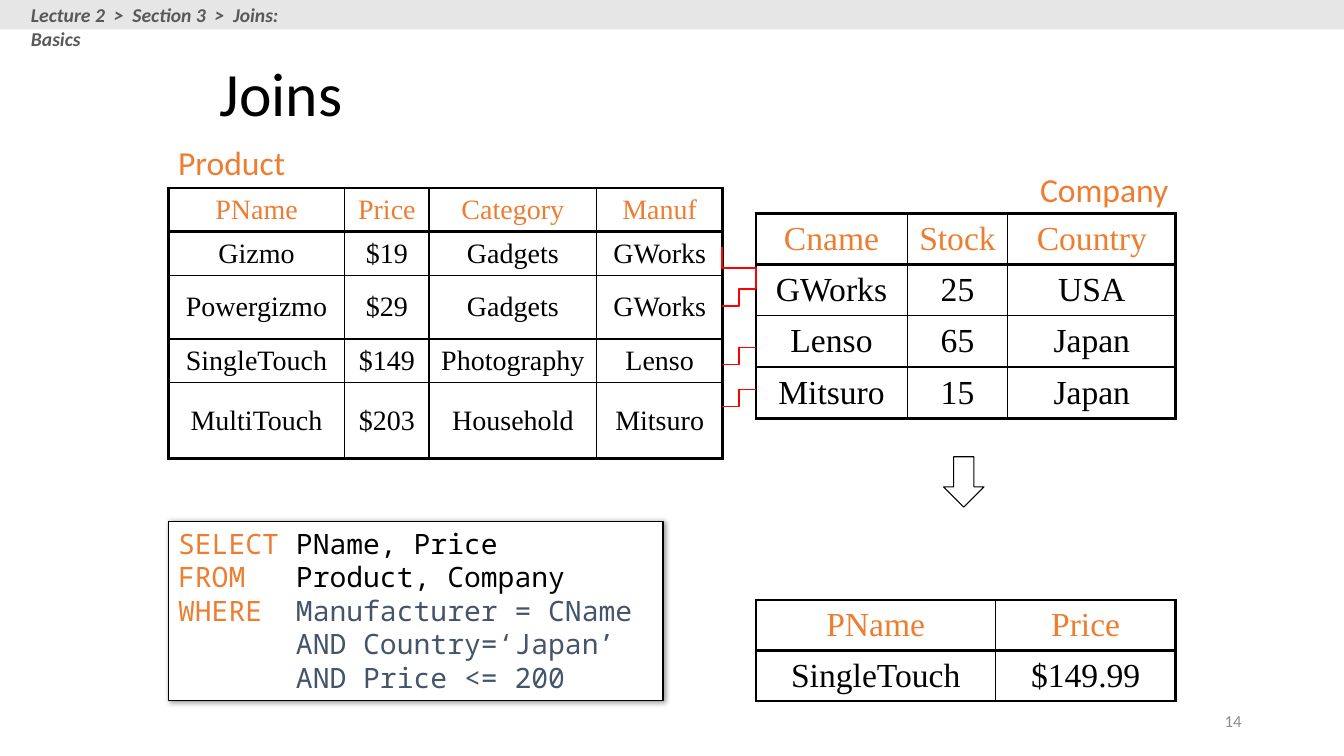
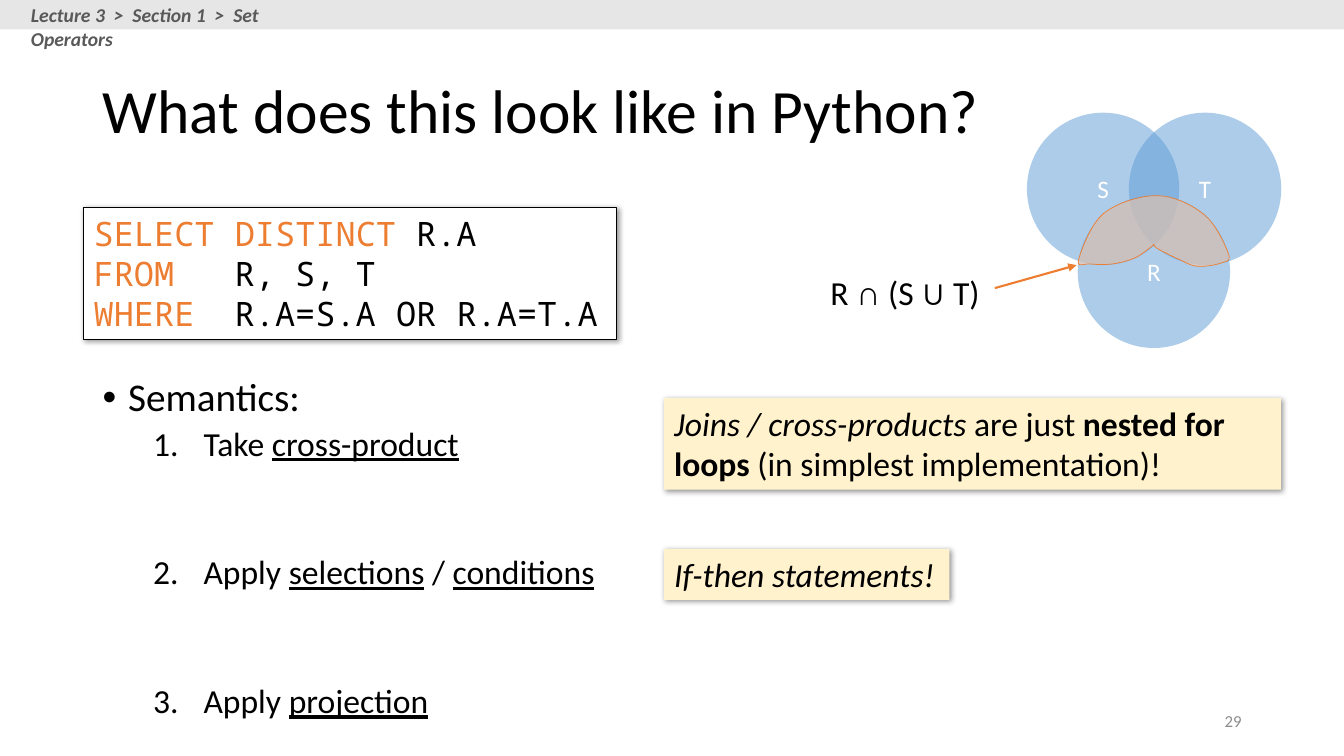
import pptx
import pptx.dml.color
import pptx.enum.shapes
import pptx.enum.text
import pptx.oxml
import pptx.oxml.ns
import pptx.util
from lxml import etree

Cm, Pt = pptx.util.Cm, pptx.util.Pt
SHAPES = pptx.enum.shapes.MSO_SHAPE
LINES = pptx.enum.shapes.MSO_CONNECTOR
ANCHOR = pptx.enum.text.MSO_ANCHOR
ALIGN = pptx.enum.text.PP_ALIGN
qn = pptx.oxml.ns.qn

# Shared look
SLIDE_WIDTH, SLIDE_HEIGHT = 33.87, 19.05
BLACK, WHITE, ORANGE, RED = "000000", "FFFFFF", "ED7D31", "FF0000"
SLATE, BAND, CRUMB, NUMBER = "44546A", "E7E6E6", "595959", "8C8C8C"
NOTE, CIRCLE, OVERLAP = "FFF2CC", "5B9BD5", "F8CBAD"
BODY_FONT, CODE_FONT, TABLE_FONT = "Calibri", "Noto Sans Mono", "Times New Roman"
THICK, THIN = 2.25, 1


def rgb(color):
    return pptx.dml.color.RGBColor.from_string(color)


def child(parent, tag, **attributes):
    node = etree.SubElement(parent, qn(tag))
    for key, value in attributes.items():
        node.set(key, str(value))
    return node


# Text
def write(frame, text, *, size=24, color=BLACK, font=BODY_FONT, bold=False,
          italic=False, underline=False, align=ALIGN.LEFT, line_spacing=None,
          before=None, bullet=None, indent=0, hang=0):
    """Add one paragraph; text is a string or a list of (string, format changes)."""
    paragraph = frame.paragraphs[0]
    if paragraph.runs:
        paragraph = frame.add_paragraph()
    paragraph.alignment = align
    if line_spacing:
        paragraph.line_spacing = line_spacing
    if before:
        paragraph.space_before = Pt(before)
    if bullet:
        properties = paragraph._p.get_or_add_pPr()
        properties.set("marL", str(Cm(indent)))
        properties.set("indent", str(-Cm(hang)))
        if bullet == "1.":
            child(properties, "a:buAutoNum", type="arabicPeriod")
        else:
            child(properties, "a:buFont", typeface="Arial")
            child(properties, "a:buChar", char=bullet)
    base = dict(size=size, color=color, font=font, bold=bold, italic=italic,
                underline=underline)
    for words, changes in [(text, {})] if isinstance(text, str) else text:
        style = {**base, **changes}
        run = paragraph.add_run()
        run.text = words
        run.font.size = Pt(style["size"])
        run.font.name = style["font"]
        run.font.color.rgb = rgb(style["color"])
        run.font.bold = style["bold"]
        run.font.italic = style["italic"]
        run.font.underline = style["underline"]


def add_frame(slide, box, anchor=ANCHOR.TOP):
    frame = slide.shapes.add_textbox(*map(Cm, box)).text_frame
    frame.word_wrap = True
    frame.vertical_anchor = anchor
    return frame


def add_text(slide, text, box, anchor=ANCHOR.TOP, **text_format):
    write(add_frame(slide, box, anchor), text, **text_format)


# Shapes and lines
def paint(shape, fill=None, line=None, width=0.75, opacity=None):
    shape.shadow.inherit = False
    if fill:
        shape.fill.solid()
        shape.fill.fore_color.rgb = rgb(fill)
        if opacity:
            color = shape.element.spPr.find(qn("a:solidFill"))[0]
            child(color, "a:alpha", val=opacity * 1000)
    else:
        shape.fill.background()
    if line:
        shape.line.color.rgb = rgb(line)
        shape.line.width = Pt(width)
    else:
        shape.line.fill.background()


def add_shape(slide, kind, box, anchor=ANCHOR.TOP, **look):
    shape = slide.shapes.add_shape(kind, *map(Cm, box))
    paint(shape, **look)
    shape.text_frame.word_wrap = True
    shape.text_frame.vertical_anchor = anchor
    return shape


def add_card(slide, box, **look):
    """A rectangle with a soft shadow; returns its text frame."""
    card = add_shape(slide, SHAPES.RECTANGLE, box, **look)
    effects = card.element.spPr.find(qn("a:effectLst"))
    shadow = child(effects, "a:outerShdw", blurRad=Pt(4), dist=Pt(1),
                   dir=45 * 60000, algn="tl", rotWithShape=0)
    child(child(shadow, "a:srgbClr", val=BLACK), "a:alpha", val=40000)
    return card.text_frame


def add_code(slide, box, lines, size):
    frame = add_card(slide, box, fill=WHITE, line=BLACK)
    for keyword, rest, color in lines:
        write(frame, [(keyword, {"color": ORANGE}), (rest, {"color": color})],
              size=size, font=CODE_FONT)


def add_line(slide, kind, start, end, color, width, arrow=False):
    line = slide.shapes.add_connector(kind, *map(Cm, (*start, *end)))
    line.line.color.rgb = rgb(color)
    line.line.width = Pt(width)
    if arrow:
        child(line.line._get_or_add_ln(), "a:tailEnd", type="triangle")
    child(line.element.spPr, "a:effectLst")
    return line


def add_upright_elbow(slide, start, end, color, width):
    """An elbow that leaves and arrives vertically: a quarter-turned connector."""
    (x1, y1), (x2, y2) = start, end
    middle_x, middle_y = (x1 + x2) / 2, (y1 + y2) / 2
    half_run, half_rise = (y2 - y1) / 2, (x2 - x1) / 2
    elbow = add_line(slide, LINES.ELBOW,
                     (middle_x + half_run, middle_y - half_rise),
                     (middle_x - half_run, middle_y + half_rise), color, width)
    elbow.element.spPr.find(qn("a:xfrm")).set("rot", str(270 * 60000))


def add_smooth_outline(slide, anchors, steps=8, **look):
    """A closed curve through the anchors (Catmull-Rom)."""
    count = len(anchors)
    points = []
    for i in range(count):
        nearby = [anchors[(i + k) % count] for k in (-1, 0, 1, 2)]
        for step in range(steps):
            t = step / steps
            points.append([
                Cm((2 * b + (c - a) * t + (2 * a - 5 * b + 4 * c - d) * t ** 2
                    + (3 * b - a - 3 * c + d) * t ** 3) / 2)
                for a, b, c, d in zip(*nearby)])
    builder = slide.shapes.build_freeform(*points[0], scale=1.0)
    builder.add_line_segments(points[1:], close=True)
    paint(builder.convert_to_shape(), **look)


# Tables
def set_borders(cell, widths):
    properties = cell._tc.get_or_add_tcPr()
    for side, width in zip("LRTB", widths):
        border = child(properties, f"a:ln{side}", w=Pt(width))
        child(child(border, "a:solidFill"), "a:srgbClr", val=BLACK)


def add_table(slide, corner, columns, heights, rows, size):
    box = (*corner, sum(columns), sum(heights))
    table = slide.shapes.add_table(len(rows), len(columns), *map(Cm, box)).table
    table.first_row = table.horz_banding = False
    for column, width in zip(table.columns, columns):
        column.width = Cm(width)
    last_row, last_column = len(rows) - 1, len(columns) - 1
    for r, row in enumerate(rows):
        table.rows[r].height = Cm(heights[r])
        for c, text in enumerate(row):
            cell = table.cell(r, c)
            heavy = (c == 0, c == last_column, r <= 1, r in (0, last_row))
            set_borders(cell, [THICK if edge else THIN for edge in heavy])
            cell.fill.solid()
            cell.fill.fore_color.rgb = rgb(WHITE)
            cell.vertical_anchor = ANCHOR.MIDDLE
            write(cell.text_frame, text, size=size, font=TABLE_FONT,
                  color=BLACK if r else ORANGE, align=ALIGN.CENTER)


# Slides
def start_slide(deck, title, title_box, crumb, number):
    slide = deck.slides.add_slide(deck.slide_layouts[6])
    add_shape(slide, SHAPES.RECTANGLE, (0, 0, SLIDE_WIDTH, 0.74), fill=BAND)
    add_text(slide, crumb, (0.53, -0.05, 7.9, 0.86), size=14, color=CRUMB,
             bold=True, italic=True)
    add_text(slide, title, title_box, ANCHOR.MIDDLE, size=44, line_spacing=0.9)
    add_text(slide, number, (23.92, 17.65, 7.62, 1.02), ANCHOR.MIDDLE, size=12,
             color=NUMBER, align=ALIGN.RIGHT)
    return slide


def build_joins(deck):
    slide = start_slide(deck, "Joins", (5.29, 0.85, 22.86, 3.17),
                        "Lecture 2  >  Section 3  >  Joins: Basics", "14")
    # Source tables
    add_text(slide, "Product", (4.24, 3.45, 3.3, 1.27), color=ORANGE)
    add_table(slide, (4.24, 4.74), (4.45, 2.12, 4.23, 3.17),
              (1.06, 1.06, 1.6, 1.06, 1.9),
              [("PName", "Price", "Category", "Manuf"),
               ("Gizmo", "$19", "Gadgets", "GWorks"),
               ("Powergizmo", "$29", "Gadgets", "GWorks"),
               ("SingleTouch", "$149", "Photography", "Lenso"),
               ("MultiTouch", "$203", "Household", "Mitsuro")], 20)
    add_text(slide, "Company", (25.96, 4.14, 3.9, 1.27), color=ORANGE)
    add_table(slide, (19.05, 5.38), (3.81, 2.54, 4.23), [1.29] * 4,
              [("Cname", "Stock", "Country"), ("GWorks", "25", "USA"),
               ("Lenso", "65", "Japan"), ("Mitsuro", "15", "Japan")], 24)
    # Matching rows
    product_edge, company_edge, rise = 18.2, 19.05, 0.43
    add_upright_elbow(slide, (product_edge, 6.22), (company_edge, 7.28), RED, 1)
    for row_y in (7.71, 9.19, 10.25):
        add_line(slide, LINES.ELBOW, (product_edge, row_y),
                 (company_edge, row_y - rise), RED, 1)
    # Query and result
    add_shape(slide, SHAPES.DOWN_ARROW, (23.78, 11.51, 1.02, 1.27), line=BLACK)
    add_code(slide, (4.24, 13.13, 12.47, 4.52),
             [("SELECT ", "PName, Price", BLACK),
              ("FROM   ", "Product, Company", BLACK),
              ("WHERE  ", "Manufacturer = CName", SLATE),
              ("       ", "AND Country=‘Japan’", SLATE),
              ("       ", "AND Price <= 200", SLATE)], 20)
    add_table(slide, (19.05, 15.12), (6.04, 4.54), [1.27] * 2,
              [("PName", "Price"), ("SingleTouch", "$149.99")], 24)


def build_python(deck):
    slide = start_slide(deck, "What does this look like in Python?",
                        (2.34, 1.01, 29.21, 3.68),
                        "Lecture 3  >  Section 1  >  Set Operators", "29")
    add_code(slide, (2.11, 5.23, 13.44, 3.33),
             [("SELECT DISTINCT ", "R.A", BLACK),
              ("FROM   ", "R, S, T", BLACK),
              ("WHERE  ", "R.A=S.A OR R.A=T.A", BLACK)], 24)
    # Semantics
    semantics = add_frame(slide, (2.34, 9.4, 15.01, 8.86))
    write(semantics, "Semantics:", size=28, line_spacing=0.9, bullet="•",
          indent=0.64, hang=0.64)
    underlined = {"underline": True}
    steps = [(5, [("Take ", {}), ("cross-product", underlined)]),
             (66, [("Apply ", {}), ("selections", underlined), (" / ", {}),
                   ("conditions", underlined)]),
             (66, [("Apply ", {}), ("projection", underlined)])]
    for gap, step in steps:
        write(semantics, step, line_spacing=0.9, before=gap, bullet="1.",
              indent=2.54, hang=1.27)
    # Notes
    loops = [("Joins / cross-products ", {"italic": True}), ("are just ", {}),
             ("nested for loops ", {"bold": True}),
             ("(in simplest implementation)!", {})]
    branches = [("If-then statements!", {"italic": True})]
    for note, box in ((loops, (16.74, 10.03, 15.54, 2.31)),
                      (branches, (16.74, 13.84, 7.19, 1.28))):
        write(add_card(slide, box, fill=NOTE), note)
    # Venn diagram
    symbol = {"font": "Arial"}
    add_text(slide, [("R ", {}), ("∩", symbol), (" (S ", {}), ("∪", symbol),
                     (" T)", {})], (20.68, 6.73, 4.6, 1.27))
    for name, left, top in (("S", 25.88, 2.84), ("T", 28.45, 2.84),
                            ("R", 27.16, 4.93)):
        circle = add_shape(slide, SHAPES.OVAL, (left, top, 3.84, 3.84),
                           ANCHOR.MIDDLE, fill=CIRCLE, opacity=50)
        write(circle.text_frame, name, size=18, color=WHITE, align=ALIGN.CENTER)
    add_line(slide, LINES.STRAIGHT, (25.07, 7.26), (27.13, 6.68), ORANGE, 1.5,
             arrow=True)
    add_smooth_outline(slide, [
        (27.18, 6.55), (27.81, 5.38), (29.16, 4.93), (30.35, 5.41), (30.96, 6.4),
        (30.76, 6.63), (30.18, 6.71), (29.74, 6.55), (29.18, 6.27), (29.08, 6.17),
        (29.06, 6.17), (29.01, 6.22), (28.6, 6.5), (28.04, 6.65), (27.48, 6.65)],
        fill=OVERLAP, opacity=60, line=ORANGE, width=0.5)


def main():
    deck = pptx.Presentation()
    deck.slide_width, deck.slide_height = Cm(SLIDE_WIDTH), Cm(SLIDE_HEIGHT)
    build_joins(deck)
    build_python(deck)
    deck.save("out.pptx")


if __name__ == "__main__":
    main()
